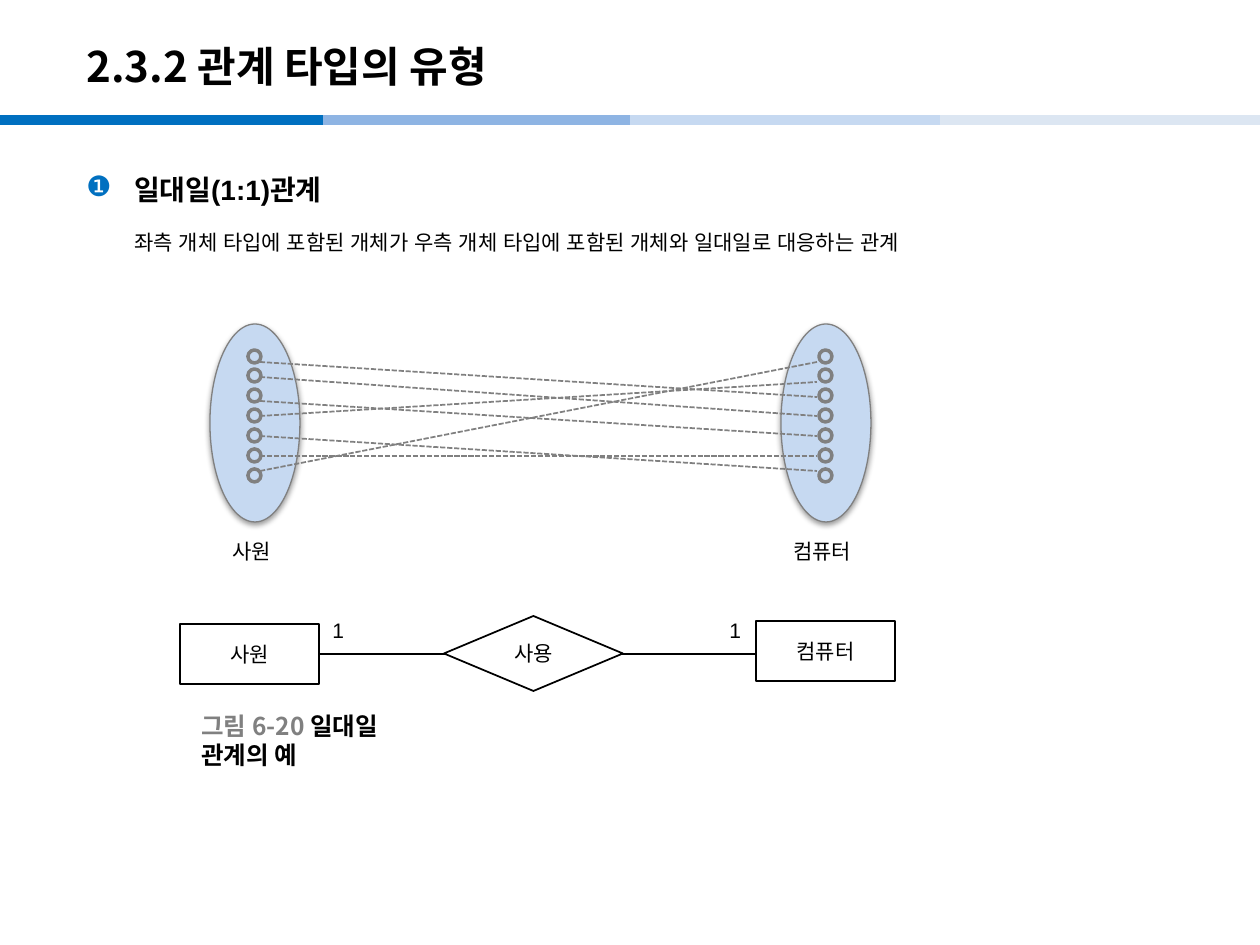
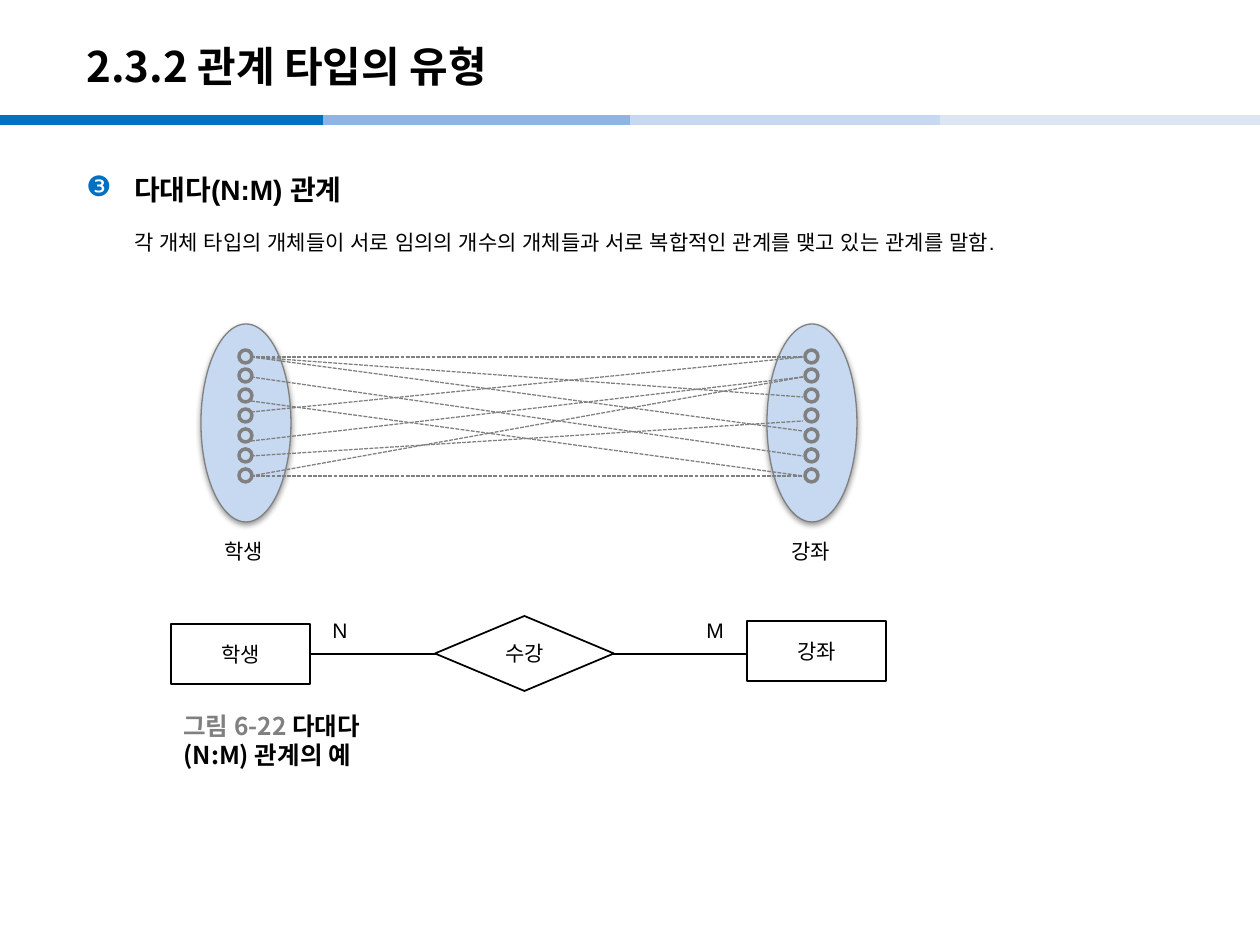
from lxml.etree import SubElement
from pptx import Presentation
from pptx.dml.color import RGBColor
from pptx.enum.dml import MSO_LINE
from pptx.enum.shapes import MSO_CONNECTOR, MSO_SHAPE
from pptx.enum.text import MSO_ANCHOR, PP_ALIGN
from pptx.oxml.ns import qn
from pptx.util import Emu, Pt

SCALE = 914400 / 126
BLACK = RGBColor(0, 0, 0)
WHITE = RGBColor(255, 255, 255)
GREY = RGBColor(0x80, 0x80, 0x80)
BLUE = RGBColor(0x00, 0x70, 0xC0)
SKY = RGBColor(0x8E, 0xB4, 0xE3)
PALE = RGBColor(0xC6, 0xD9, 0xF1)
MIST = RGBColor(0xDC, 0xE6, 0xF2)
LATIN = "Arial"
HANGUL = "Noto Sans CJK KR"
TITLE = "2.3.2 관계 타입의 유형"
BANDS = ((0, BLUE), (323, SKY), (630, PALE), (940, MIST))
DOTS = 7


def px(count):
    return Emu(round(count * SCALE))


def style(run, size, face, color=BLACK, bold=False):
    font = run.font
    font.size = Pt(size)
    font.bold = bold
    font.color.rgb = color
    font.name = face
    SubElement(run._r.get_or_add_rPr(), qn("a:ea")).set("typeface", face)


def add_run(para, text, *look):
    run = para.add_run()
    run.text = text
    style(run, *look)


def add_box(slide, x, y, w, h, wrap=False, anchor=MSO_ANCHOR.TOP):
    frame = slide.shapes.add_textbox(px(x), px(y), px(w), px(h)).text_frame
    frame.word_wrap = wrap
    frame.vertical_anchor = anchor
    return frame


def add_line(slide, start, end, color, width, dash=None):
    line = slide.shapes.add_connector(
        MSO_CONNECTOR.STRAIGHT, *map(px, start + end))
    line.line.color.rgb = color
    line.line.width = Pt(width)
    if dash:
        line.line.dash_style = dash
    SubElement(line._element.spPr, qn("a:effectLst"))


def add_form(shapes, kind, x, y, w, h, fill, color, width):
    form = shapes.add_shape(kind, px(x), px(y), px(w), px(h))
    form.shadow.inherit = False
    form.fill.solid()
    form.fill.fore_color.rgb = fill
    form.line.color.rgb = color
    form.line.width = Pt(width)
    return form


def add_shade(form):
    effects = form._element.spPr.find(qn("a:effectLst"))
    shade = SubElement(effects, qn("a:outerShdw"), blurRad="40000",
                       dist="20000", dir="5400000", rotWithShape="0")
    tint = SubElement(shade, qn("a:srgbClr"), val="000000")
    SubElement(tint, qn("a:alpha"), val="38000")


def add_frame(slide):
    for x, color in BANDS:
        add_line(slide, (x, 120), (x + 323, 120), color, 6)
    frame = add_box(slide, 74, 28, 1042, 76, True, MSO_ANCHOR.MIDDLE)
    add_run(frame.paragraphs[0], TITLE, 24, HANGUL, BLACK, True)


def add_body(slide, mark, head, text):
    frame = add_box(slide, 74, 150, 1111, 753, True)
    first, second = frame.paragraphs[0], frame.add_paragraph()
    for para in (first, second):
        para.line_spacing = 1.5
        para._p.get_or_add_pPr().set("marL", str(px(48)))
    second.space_before = Pt(6)
    props = first._p.pPr
    props.set("indent", str(-px(48)))
    tint = SubElement(props, qn("a:buClr"))
    SubElement(tint, qn("a:srgbClr"), val=str(BLUE))
    SubElement(props, qn("a:buChar"), char=mark)
    add_run(first, head, 16, LATIN, BLACK, True)
    add_run(second, text, 12, LATIN)


def add_set(slide, x):
    shapes = slide.shapes.add_group_shape().shapes
    add_shade(add_form(shapes, MSO_SHAPE.OVAL, x, 324, 90, 198,
                       PALE, GREY, 0.75))
    for row in range(DOTS):
        add_form(shapes, MSO_SHAPE.FLOWCHART_CONNECTOR, x + 38,
                 350 + 119 * row // 6, 13, 13, PALE, GREY, 2)


def add_links(slide, left, right, rows, width):
    for start, end in rows:
        add_line(slide, (left + 50, start), (right + 36, end),
                 GREY, width, MSO_LINE.SQUARE_DOT)


def add_label(slide, text, x, y, w):
    frame = add_box(slide, x, y, w, 38)
    add_run(frame.paragraphs[0], text, 12, LATIN)


def add_node(slide, kind, text, x, y, w, h):
    form = add_form(slide.shapes, kind, x, y, w, h, WHITE, BLACK, 1)
    frame = form.text_frame
    frame.vertical_anchor = MSO_ANCHOR.MIDDLE
    para = frame.paragraphs[0]
    para.alignment = PP_ALIGN.CENTER
    add_run(para, text, 12, HANGUL)


def add_model(slide, x, left, verb, right):
    add_line(slide, (x + 576, 654), (x + 140, 654), BLACK, 0.75)
    add_node(slide, MSO_SHAPE.FLOWCHART_DECISION, verb, x + 264, 616, 179, 75)
    add_node(slide, MSO_SHAPE.RECTANGLE, left, x, 624, 139, 60)
    add_node(slide, MSO_SHAPE.RECTANGLE, right, x + 576, 621, 139, 60)


def add_note(slide, x, number, text):
    frame = add_box(slide, x, 721, 258, 39, anchor=MSO_ANCHOR.MIDDLE)
    para = frame.paragraphs[0]
    add_run(para, f"그림 {number} ", 14, HANGUL, GREY, True)
    add_run(para, text, 14, HANGUL, BLACK, True)


def add_page(deck, body, sets, links, width, labels, model, note):
    slide = deck.slides.add_slide(deck.slide_layouts[6])
    add_frame(slide)
    add_body(slide, *body)
    for x in sets:
        add_set(slide, x)
    add_links(slide, *sets, links, width)
    add_model(slide, *model)
    for label in labels:
        add_label(slide, *label)
    add_note(slide, *note)


def main():
    deck = Presentation()
    deck.slide_width, deck.slide_height = px(1260), px(945)
    add_page(
        deck,
        ("❶", "일대일(1:1)관계",
         "좌측 개체 타입에 포함된 개체가 우측 개체 타입에 포함된 개체와 일대일로 대응하는 관계"),
        (210, 781),
        ((362, 397), (471, 362), (401, 436), (377, 416),
         (416, 382), (436, 471), (456, 456)),
        1,
        (("사원", 220, 532, 68), ("컴퓨터", 781, 532, 89),
         ("1", 320, 611, 38), ("1", 717, 611, 38)),
        (180, "사원", "사용", "컴퓨터"),
        (189, "6-20", "일대일 관계의 예"))
    add_page(
        deck,
        ("❸", "다대다(N:M) 관계",
         "각 개체 타입의 개체들이 서로 임의의 개수의 개체들과 서로 복합적인 관계를 맺고 있는 관계를 말함."),
        (201, 767),
        ((357, 357), (357, 397), (357, 431), (412, 357), (441, 377),
         (401, 476), (476, 377), (476, 476), (377, 456), (456, 421)),
        0.75,
        (("학생", 212, 532, 68), ("강좌", 779, 532, 68),
         ("N", 320, 611, 42), ("M", 694, 611, 45)),
        (171, "학생", "수강", "강좌"),
        (171, "6-22", "다대다(N:M) 관계의 예"))
    deck.save("out.pptx")


if __name__ == "__main__":
    main()
